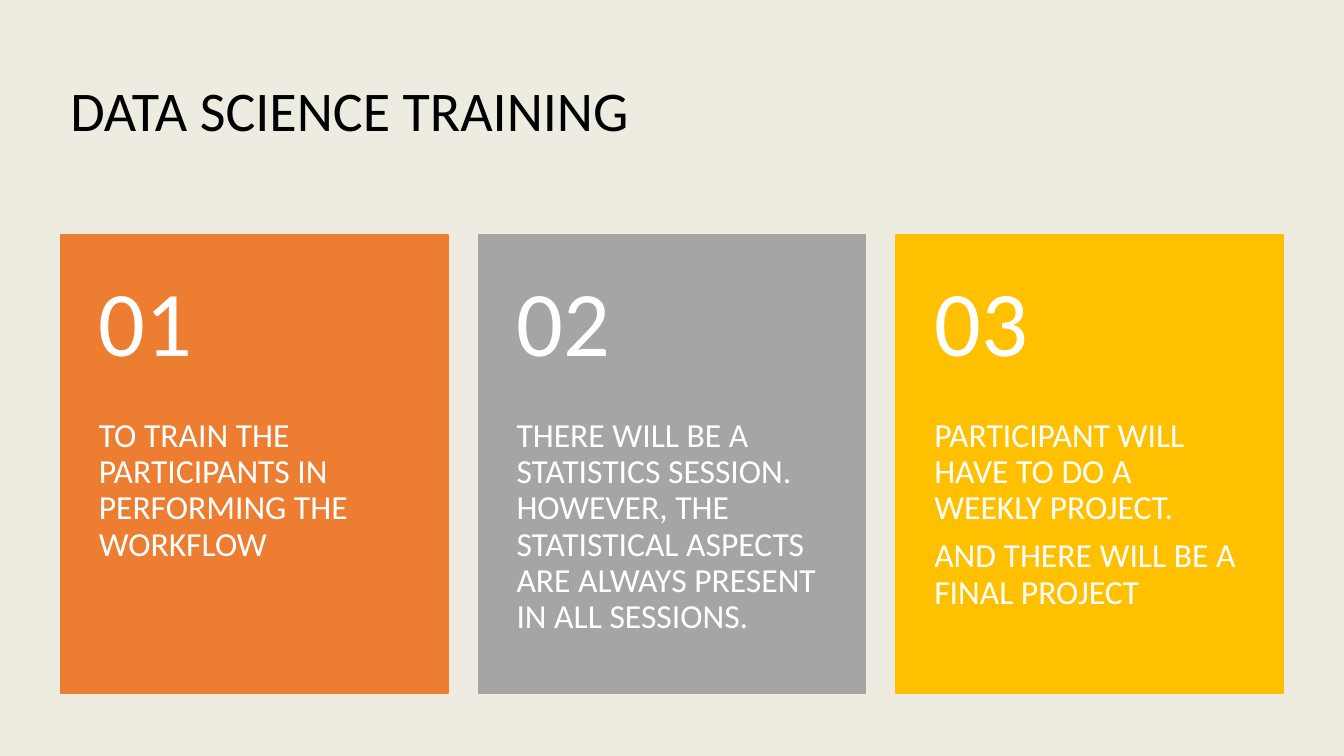
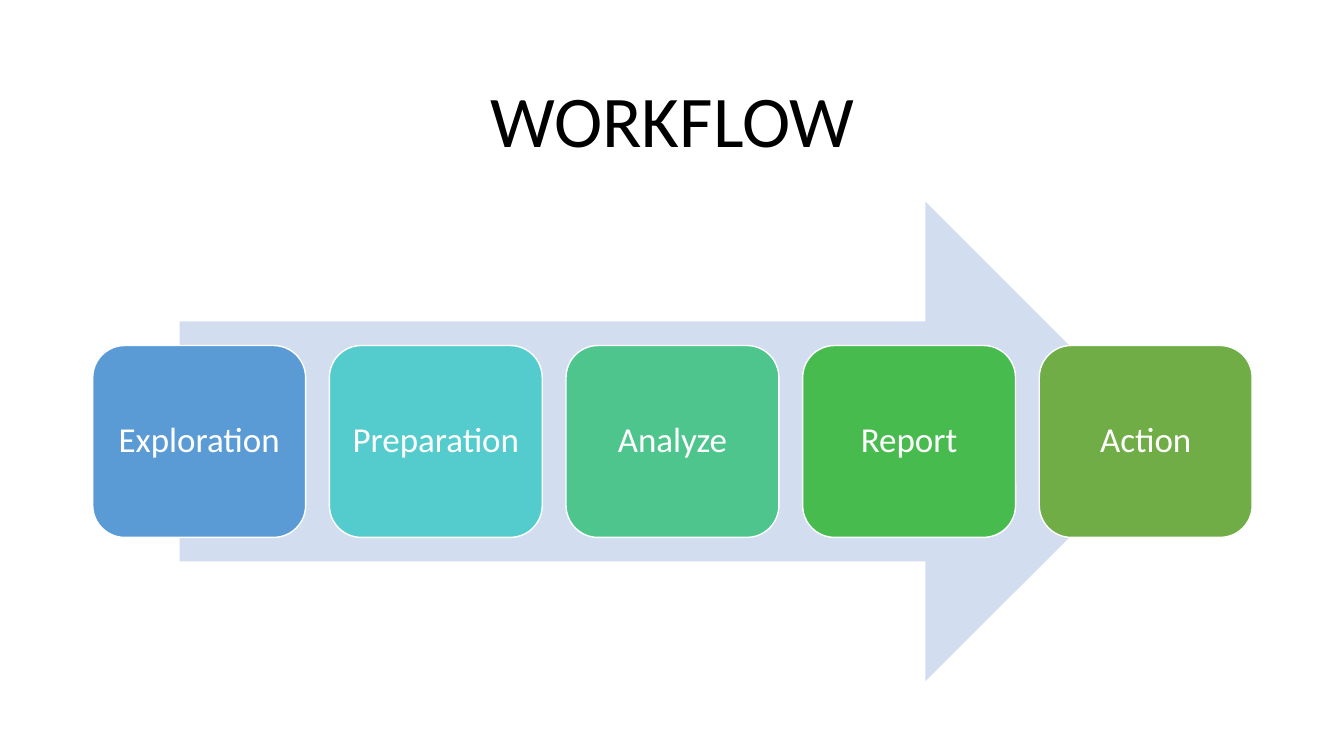
"""Two slides on a data science training: its aims and its workflow."""
from pptx import Presentation
from pptx import util as u
from pptx.dml.color import RGBColor
from pptx.enum import shapes, text

WIDE, HIGH = 13.33, 7.5
FONT = "Calibri"
BLACK, WHITE = "000000", "FFFFFF"
CREAM, PALE = "EEEBE1", "D2DEEF"
KIND = shapes.MSO_SHAPE
MID, TOP = text.MSO_ANCHOR.MIDDLE, text.MSO_ANCHOR.TOP
LEFT, CENTER = text.PP_ALIGN.LEFT, text.PP_ALIGN.CENTER

CARDS = [
    ("ED7D31", ["TO TRAIN THE PARTICIPANTS IN PERFORMING THE WORKFLOW"]),
    ("A5A5A5", ["THERE WILL BE A STATISTICS SESSION. HOWEVER, THE "
                "STATISTICAL ASPECTS ARE ALWAYS PRESENT IN ALL SESSIONS."]),
    ("FFC000", ["PARTICIPANT WILL HAVE TO DO A WEEKLY PROJECT.",
                "AND THERE WILL BE A FINAL PROJECT"]),
]
STEPS = [
    ("Exploration", "5B9BD5"),
    ("Preparation", "54CCCD"),
    ("Analyze", "4DC58D"),
    ("Report", "48BB4F"),
    ("Action", "70AD47"),
]


def paint(fill, color):
    """Give a fill one solid colour from a hex string."""
    fill.solid()
    fill.fore_color.rgb = RGBColor.from_string(color)


def inches(box):
    """Turn left, top, width and height into lengths."""
    return [u.Inches(side) for side in box]


def columns(left, width, count, gap):
    """Return the left edges and the width of equal columns."""
    size = (width - gap * (count - 1)) / count
    return [left + i * (size + gap) for i in range(count)], size


def write(shape, lines, size, color=WHITE, align=LEFT, anchor=MID,
          inset=(0.1, 0.05, 0.1, 0.05), after=0.35):
    """Set lines of text in a shape; after is a share of the size."""
    frame = shape.text_frame
    frame.word_wrap = True
    frame.vertical_anchor = anchor
    (frame.margin_left, frame.margin_top,
     frame.margin_right, frame.margin_bottom) = inches(inset)
    frame.text = "\n".join(lines)
    for para in frame.paragraphs:
        para.alignment = align
        para.line_spacing = 0.9
        para.space_after = u.Pt(size * after)
        para.font.name = FONT
        para.font.size = u.Pt(size)
        para.font.color.rgb = RGBColor.from_string(color)


def label(slide, box, lines, size, **style):
    """Add a text box."""
    write(slide.shapes.add_textbox(*inches(box)), lines, size, **style)


def title(slide, box, words, size, align=LEFT):
    """Add the slide's title."""
    label(slide, box, [words], size, color=BLACK, align=align, after=0)


def block(slide, kind, box, color, edge=None):
    """Add a filled shape, with an outline if edge is given."""
    shape = slide.shapes.add_shape(kind, *inches(box))
    shape.shadow.inherit = False
    paint(shape.fill, color)
    if edge:
        paint(shape.line.fill, edge)
        shape.line.width = u.Pt(1)
    else:
        shape.line.fill.background()
    return shape


def card(slide, box, number, lines, color):
    """Add a numbered card: the number takes 40% of its height."""
    left, top, width, height = box
    head = height * 0.4
    block(slide, KIND.RECTANGLE, box, color, color)
    label(slide, (left, top + head, width, height - head), lines, 24,
          anchor=TOP, inset=(0.38, 0, 0.38, 0.36))
    label(slide, (left, top, width, head), [f"{number:02}"], 66,
          inset=(0.38, 0.18, 0.38, 0.18))


def training(slide):
    """Build the slide with three numbered cards."""
    left, width = 0.6, 12.13
    paint(slide.background.fill, CREAM)
    title(slide, (left, 0.4, width, 1.45), "DATA SCIENCE TRAINING", 40)
    edges, size = columns(left, width, len(CARDS), 0.3)
    for number, (edge, (color, lines)) in enumerate(zip(edges, CARDS), 1):
        card(slide, (edge, 2.33, size, 4.55), number, lines, color)


def workflow(slide):
    """Build the slide with five steps along an arrow."""
    left, width = 0.92, 11.5
    top, height = 2, 4.76
    title(slide, (left, 0.61, width, 1.24), "WORKFLOW", 52, CENTER)
    span = width * 0.85
    block(slide, KIND.RIGHT_ARROW,
          (left + (width - span) / 2, top, span, height), PALE)
    edges, size = columns(left, width, len(STEPS), 0.235)
    for edge, (name, color) in zip(edges, STEPS):
        step = block(slide, KIND.ROUNDED_RECTANGLE,
                     (edge, top + height * 0.3, size, height * 0.4),
                     color, WHITE)
        write(step, [name], 25, align=CENTER, inset=(0.1,) * 4)


def main():
    """Build and save the slides."""
    deck = Presentation()
    deck.slide_width, deck.slide_height = u.Inches(WIDE), u.Inches(HIGH)
    for build in (training, workflow):
        build(deck.slides.add_slide(deck.slide_layouts[6]))
    deck.save("out.pptx")


main()
